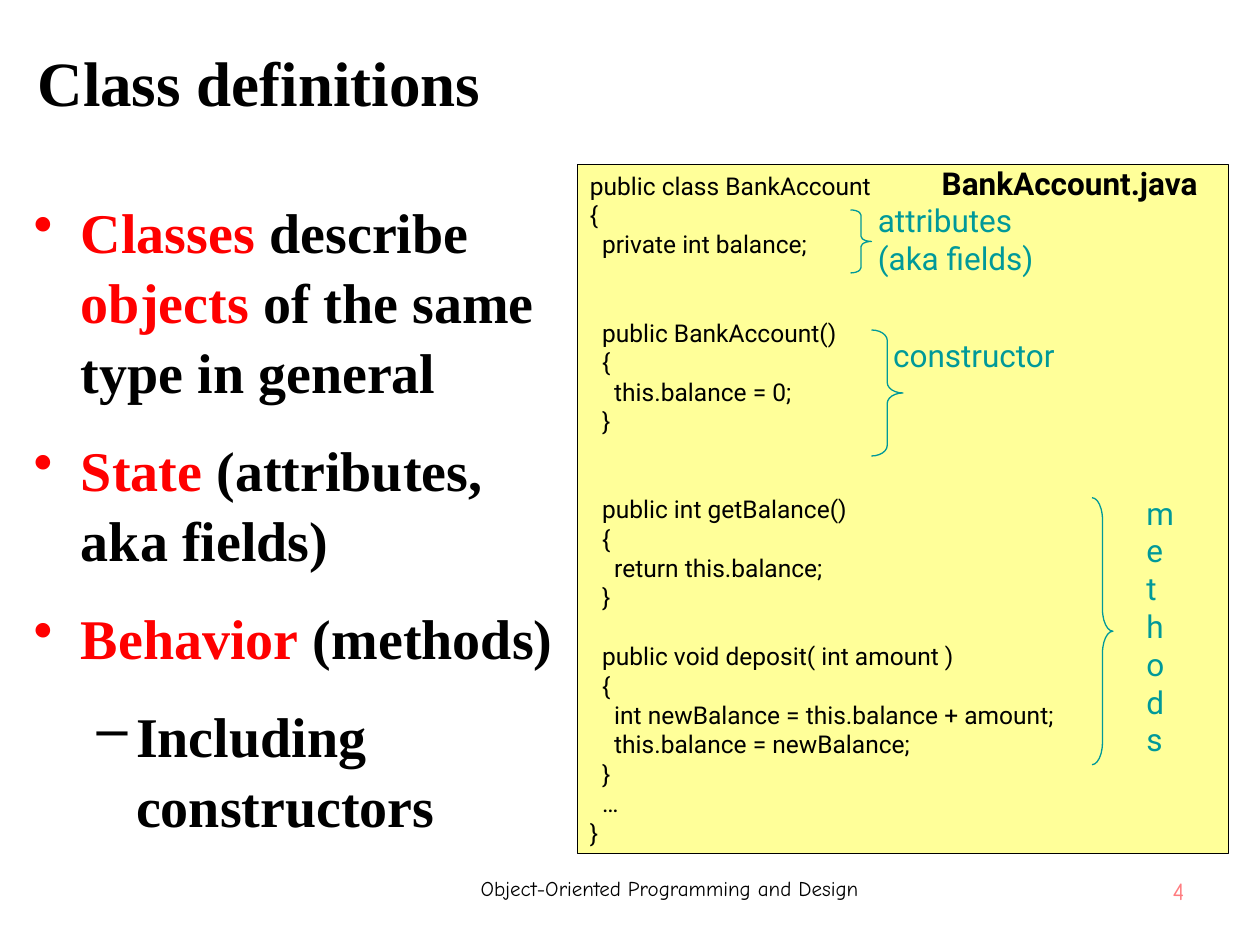
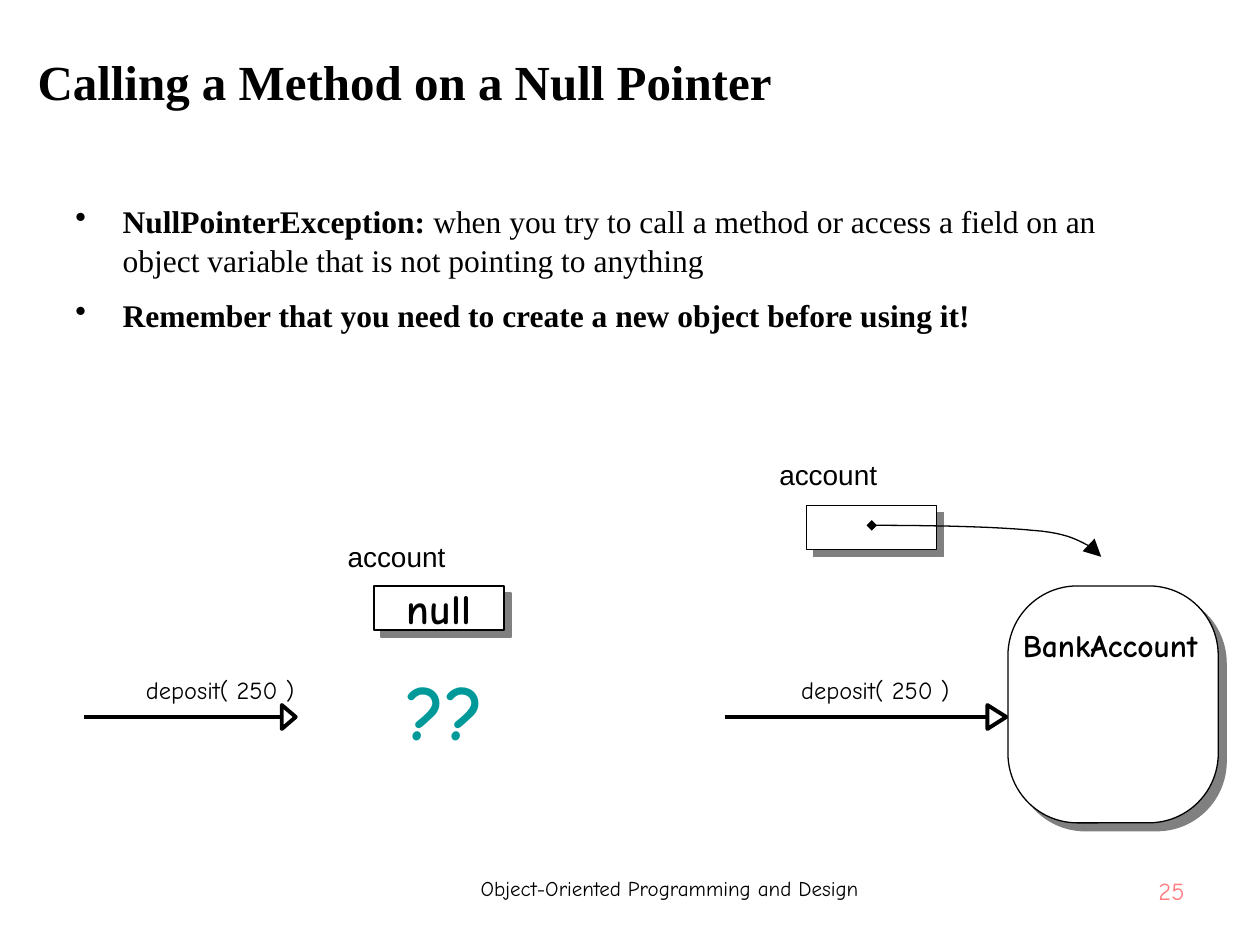
import pptx
import pptx.dml.color
import pptx.enum.shapes
import pptx.enum.text
import pptx.oxml
import pptx.oxml.ns
import pptx.util

Pt = pptx.util.Pt
RGB = pptx.dml.color.RGBColor
SHAPE = pptx.enum.shapes.MSO_SHAPE
ALIGN = pptx.enum.text.PP_ALIGN
ANCHOR = pptx.enum.text.MSO_ANCHOR

BLACK = RGB(0x00, 0x00, 0x00)
WHITE = RGB(0xFF, 0xFF, 0xFF)
RED = RGB(0xFF, 0x00, 0x00)
TEAL = RGB(0x00, 0x99, 0x99)
YELLOW = RGB(0xFF, 0xFF, 0x99)
PINK = RGB(0xFF, 0x7C, 0x80)
GRAY = RGB(0x80, 0x80, 0x80)

SERIF, SANS, COMIC, LABEL = "Times New Roman", "Roboto", "Comic Neue", "Arial"
LEADING = 1.2  # code and note line pitch as a multiple of the text size
BODY_SPACING = 1.04  # bullet line spacing as a multiple of single spacing

# ---- Content ----
FOOTER = "Object-Oriented Programming and Design"

# Each bullet: level, bullet colour, spans of (text, format)
CLASS_BULLETS = [
    (0, RED, [("Classes", {"color": RED}), (" describe ", {}),
              ("objects", {"color": RED}), (" of the same type in general", {})]),
    (0, RED, [("State", {"color": RED}), (" (attributes, aka fields)", {})]),
    (0, RED, [("Behavior", {"color": RED}), (" (methods)", {})]),
    (1, BLACK, [("Including constructors", {})]),
]
NULL_BULLETS = [
    (0, BLACK, [("NullPointerException:", {}),
                (" when you try to call a method or access a field on an object "
                 "variable that is not pointing to anything", {"bold": False})]),
    (0, BLACK, [("Remember that you need to create a new object before using it!", {})]),
]
BULLET_LEVELS = [("•", 27, -27), ("–", 58.5, -22.5)]  # mark, margin, indent

CODE = """public class BankAccount
{
  private int balance;


  public BankAccount()
  {
    this.balance = 0;
  }


  public int getBalance()
  {
    return this.balance;
  }

  public void deposit( int amount )
  {
    int newBalance = this.balance + amount;
    this.balance = newBalance;
  }
  …
}"""

# Brace frame, note, note frame, whether the note wraps
CODE_NOTES = [
    ((486, 120, 12, 36), ["attributes", "(aka fields)"], (494.6, 111.6, 105, 50.4), False),
    ((498, 188.6, 18, 72), ["constructor"], (503.3, 188.6, 112.3, 28.8), False),
    ((624, 284.4, 12, 152.6), ["methods"], (648, 278.6, 24, 158.4), True),
]

# Variable label frame, variable box frame, value
VARIABLES = [
    ((191.5, 304.6, 90, 26.6), (213.8, 334.8, 74.2, 25.2), "null"),
    ((438.2, 257.8, 90, 26.6), (460.8, 288.7, 74.2, 25.2), None),
]
# Arrow start, arrow tip, head length, label left
CALLS = [(48, 169, 8, 76.3), (414, 575, 10.8, 450.7)]
CALL_Y, HEAD_SPREAD = 409.7, 13.7

# Pointer curve: start, then cubic pieces
POINTER_START = (498.2, 300.2)
POINTER_PIECES = [
    ((533.5, 300.2), (569.5, 301), (590.4, 303.1)),
    ((611.3, 304.6), (617, 309.6), (623.5, 312.5)),
    ((630, 314.6), (630, 316.1), (629.3, 318.2)),
]


# ---- Helpers ----
def frame(values):
    return [Pt(value) for value in values]


def add_xml(parent, xml):
    tag, rest = xml[1:].split(" ", 1) if " " in xml else (xml[1:-2], "/>")
    namespace = pptx.oxml.ns.nsdecls("a")
    element = pptx.oxml.parse_xml(f"<{tag} {namespace} {rest}")
    parent.append(element)


def add_bullet(para, level, color):
    mark, margin, indent = BULLET_LEVELS[level]
    props = para._p.get_or_add_pPr()
    props.set("marL", str(Pt(margin)))
    props.set("indent", str(Pt(indent)))
    add_xml(props, f'<a:buClr ><a:srgbClr val="{color}"/></a:buClr>')
    add_xml(props, f'<a:buChar char="{mark}"/>')


def write(shape, paras, size=18, font=SANS, color=BLACK, bold=False,
          align=ALIGN.LEFT, anchor=ANCHOR.TOP, wrap=False, gap=0, spacing=None):
    """Fill a shape with paragraphs: strings, or (level, bullet colour, spans)."""
    text = shape.text_frame
    text.word_wrap, text.vertical_anchor = wrap, anchor
    blank_lines = 0
    started = False
    for item in paras:
        if item == "":
            blank_lines += 1
            continue
        para = text.add_paragraph() if started else text.paragraphs[0]
        spans = [(item, {})]
        if isinstance(item, tuple):
            level, bullet_color, spans = item
            add_bullet(para, level, bullet_color)
        para.alignment = align
        para.line_spacing = spacing
        para.space_before = Pt(gap + blank_lines * size * LEADING if started else 0)
        para.space_after = Pt(gap)
        for words, changes in spans:
            span = para.add_run()
            span.text = words
            span.font.name, span.font.size = font, Pt(size)
            span.font.bold = changes.get("bold", bold)
            span.font.color.rgb = changes.get("color", color)
        started, blank_lines = True, 0


def add_text(page, box, paras, **style):
    write(page.shapes.add_textbox(*frame(box)), paras, **style)


def style_shape(shape, fill=None, line=BLACK, width=0.75, shadow=0):
    shape.shadow.inherit = False
    if fill is None:
        shape.fill.background()
    else:
        shape.fill.solid()
        shape.fill.fore_color.rgb = fill
    shape.line.color.rgb, shape.line.width = line, Pt(width)
    if shadow:
        effects = shape._element.spPr.find(pptx.oxml.ns.qn("a:effectLst"))
        add_xml(effects, f'<a:outerShdw blurRad="0" dist="{Pt(shadow)}" dir="2700000" '
                f'rotWithShape="0"><a:srgbClr val="{GRAY}"/></a:outerShdw>')


def add_shape(page, kind, box, **style):
    shape = page.shapes.add_shape(kind, *frame(box))
    style_shape(shape, **style)
    return shape


def add_page(deck, title, title_size, number):
    page = deck.slides.add_slide(deck.slide_layouts[6])
    add_text(page, (604, 496.8, 80, 32.4), [number], size=14, font=COMIC,
             color=PINK, align=ALIGN.RIGHT, wrap=True)
    add_text(page, (218.2, 496.8, 329, 32.4), [FOOTER], size=12, font=COMIC,
             align=ALIGN.CENTER, wrap=True)
    add_text(page, (14.4, 15.1, 692, 62.6), [title], size=title_size, font=SERIF,
             bold=True, anchor=ANCHOR.MIDDLE, wrap=True)
    return page


def add_body(page, box, bullets, size, gap):
    add_text(page, box, bullets, size=size, font=SERIF, bold=True, wrap=True,
             gap=gap, spacing=BODY_SPACING)


# ---- Slide: class definitions ----
def add_class_page(deck):
    page = add_page(deck, "Class definitions", 36, "4")
    listing = add_shape(page, SHAPE.RECTANGLE, (330, 94, 372, 393.8), fill=YELLOW)
    write(listing, CODE.split("\n"), size=14, wrap=True, spacing=Pt(14 * LEADING))
    add_text(page, (531, 90, 176.4, 28.8), ["BankAccount.java"], bold=True, wrap=True)
    add_body(page, (12.2, 108, 311.8, 396), CLASS_BULLETS, 32, 8)
    for brace_box, note, note_box, wrap in CODE_NOTES:
        brace = add_shape(page, SHAPE.RIGHT_BRACE, brace_box, line=TEAL)
        width, height = brace_box[2:]
        brace.adjustments[0] = height / (12 * width)
        add_text(page, note_box, note, color=TEAL, wrap=wrap, spacing=Pt(18 * LEADING))


# ---- Slide: null pointer ----
def add_call(page, start, tip, head_length, label_left):
    line = page.shapes.add_connector(pptx.enum.shapes.MSO_CONNECTOR.STRAIGHT,
                                     *frame((start, CALL_Y, tip, CALL_Y)))
    line.line.color.rgb, line.line.width = BLACK, Pt(2.5)
    add_xml(line._element.spPr, "<a:effectLst/>")
    # The head is an upright triangle turned to the right about its centre
    head = add_shape(page, SHAPE.ISOSCELES_TRIANGLE,
                     (tip - (head_length + HEAD_SPREAD) / 2, CALL_Y - head_length / 2,
                      HEAD_SPREAD, head_length), fill=WHITE, width=2.25)
    head.rotation = 90
    add_text(page, (label_left, 382.3, 110, 24.5), ["deposit( 250 )"], size=14,
             font=COMIC, wrap=True)


def curve_points(start, pieces, steps=12):
    points = [start]
    for first, second, end in pieces:
        corners = (points[-1], first, second, end)
        for step in range(1, steps + 1):
            t = step / steps
            weights = ((1 - t) ** 3, 3 * t * (1 - t) ** 2, 3 * t * t * (1 - t), t ** 3)
            points.append(tuple(sum(w * corner[axis] for w, corner in zip(weights, corners))
                                for axis in (0, 1)))
    return points


def add_pointer(page):
    points = [frame(point) for point in curve_points(POINTER_START, POINTER_PIECES)]
    builder = page.shapes.build_freeform(*points[0])
    builder.add_line_segments(points[1:], close=False)
    pointer = builder.convert_to_shape()
    style_shape(pointer)
    outline = pointer.line._get_or_add_ln()
    add_xml(outline, '<a:headEnd type="diamond"/>')
    add_xml(outline, '<a:tailEnd type="triangle" w="lg" len="lg"/>')


def add_null_page(deck):
    page = add_page(deck, "Calling a Method on a Null Pointer", 28, "25")
    add_body(page, (36, 111, 598.3, 380), NULL_BULLETS, 18, 4.5)
    for label_box, value_box, value in VARIABLES:
        add_text(page, label_box, ["account"], size=16, font=LABEL, wrap=True)
        holder = add_shape(page, SHAPE.RECTANGLE, value_box, fill=WHITE, shadow=5.7)
        if value:
            write(holder, [value], size=24, font=COMIC, bold=True,
                  align=ALIGN.CENTER, anchor=ANCHOR.MIDDLE)
    for call in CALLS:
        add_call(page, *call)
    account = add_shape(page, SHAPE.ROUNDED_RECTANGLE, (576, 334.8, 120.2, 135.4),
                        fill=WHITE, shadow=6.4)
    account.adjustments[0] = 0.33
    add_text(page, (577.4, 354.2, 130, 28.8), ["BankAccount"], font=COMIC, bold=True,
             wrap=True)
    add_text(page, (225.4, 375.8, 70, 60.5), ["??"], size=44, font=COMIC,
             color=TEAL, bold=True, wrap=True)
    add_pointer(page)


def main():
    deck = pptx.Presentation()
    deck.slide_width, deck.slide_height = Pt(720), Pt(540)
    add_class_page(deck)
    add_null_page(deck)
    deck.save("out.pptx")


if __name__ == "__main__":
    main()
